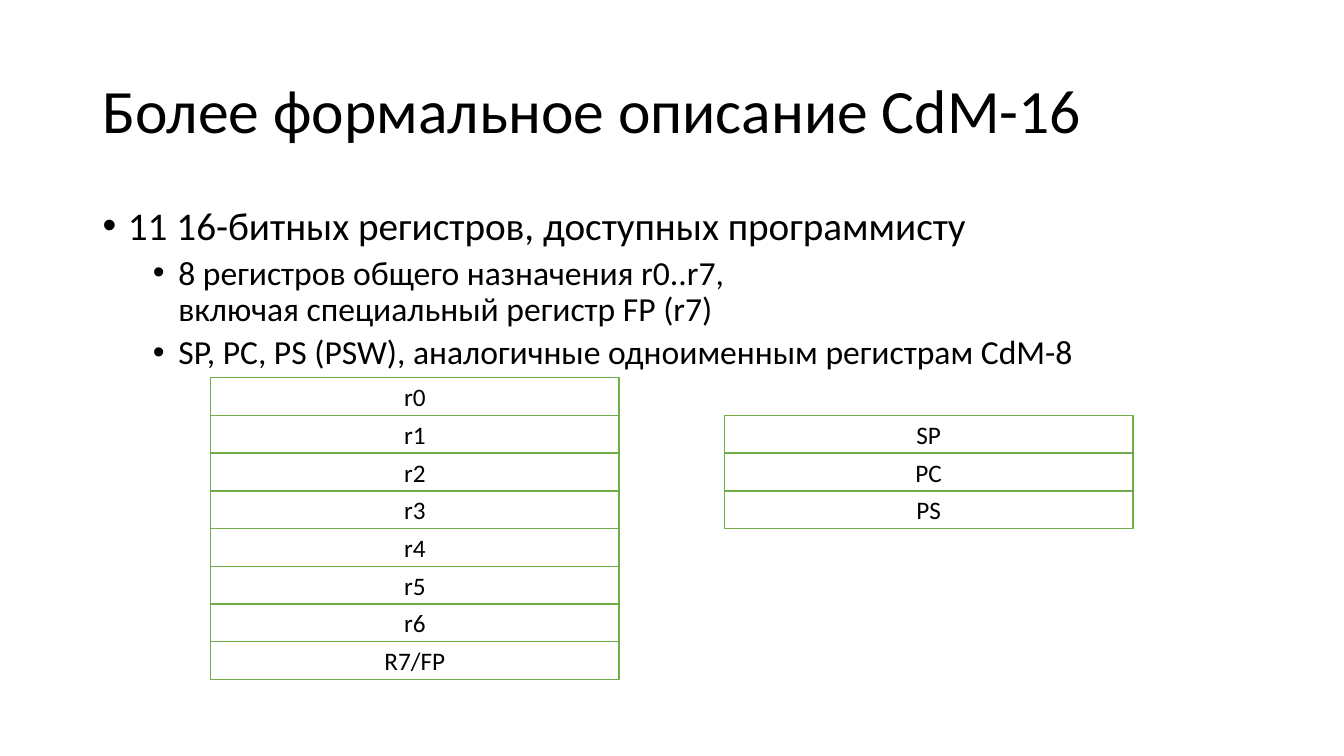
from dataclasses import dataclass

from lxml.etree import SubElement
from pptx import Presentation
from pptx.dml.color import RGBColor
from pptx.enum.shapes import MSO_SHAPE
from pptx.enum.text import MSO_ANCHOR, MSO_AUTO_SIZE, PP_ALIGN
from pptx.oxml.ns import qn
from pptx.util import Cm, Pt


@dataclass(frozen=True)
class Theme:
    font: str = "Calibri"
    ink: RGBColor = RGBColor(0x00, 0x00, 0x00)
    paper: RGBColor = RGBColor(0xFF, 0xFF, 0xFF)
    edge: RGBColor = RGBColor(0x70, 0xAD, 0x47)
    title: int = 44
    levels: tuple = (28, 24)
    register: int = 18


@dataclass(frozen=True)
class Box:
    left: float
    top: float
    width: float
    height: float


THEME = Theme()
ROW = 0.95
TITLE_BOX = Box(2.33, 1.01, 29.21, 3.68)
BODY_BOX = Box(2.33, 5.08, 29.21, 4.45)
GENERAL_BOX = Box(5.31, 9.52, 10.29, 8 * ROW)
SPECIAL_BOX = Box(18.26, 9.52 + ROW, 10.29, 3 * ROW)

TITLE = "Более формальное описание CdM-16"
POINTS = [
    (0, ["11 16-битных регистров, доступных программисту"]),
    (1, ["8 регистров общего назначения r0..r7,", "включая специальный регистр FP (r7)"]),
    (1, ["SP, PC, PS (PSW), аналогичные одноименным регистрам CdM-8"]),
]
GENERAL = [f"r{number}" for number in range(7)] + ["R7/FP"]
SPECIAL = ["SP", "PC", "PS"]


def place(shape, box):
    shape.left, shape.top = Cm(box.left), Cm(box.top)
    shape.width, shape.height = Cm(box.width), Cm(box.height)


def add_span(para, text, size):
    span = para.add_run()
    span.text = text
    span.font.name = THEME.font
    span.font.size = Pt(size)
    span.font.color.rgb = THEME.ink


def set_bullet(para, indent, hanging):
    properties = para._p.get_or_add_pPr()
    properties.set("marL", str(Cm(indent)))
    properties.set("indent", str(-Cm(hanging)))
    SubElement(properties, qn("a:buFont"), typeface="Arial")
    SubElement(properties, qn("a:buChar"), char="•")


def fill_title(page, box):
    title = page.shapes.title
    place(title, box)
    frame = title.text_frame
    frame.auto_size = MSO_AUTO_SIZE.NONE
    frame.vertical_anchor = MSO_ANCHOR.MIDDLE
    para = frame.paragraphs[0]
    para.alignment = PP_ALIGN.LEFT
    para.line_spacing = 0.9
    add_span(para, TITLE, THEME.title)


def fill_body(page, box):
    body = page.placeholders[1]
    place(body, box)
    frame = body.text_frame
    frame.auto_size = MSO_AUTO_SIZE.NONE
    for index, (level, lines) in enumerate(POINTS):
        para = frame.add_paragraph() if index else frame.paragraphs[0]
        para.level = level
        para.line_spacing = 0.9
        para.space_before = Pt(5 if level else 10)
        set_bullet(para, 0.64 + 1.27 * level, 0.64)
        for number, line in enumerate(lines):
            if number:
                para.add_line_break()
            add_span(para, line, THEME.levels[level])


def add_registers(page, box, names):
    height = box.height / len(names)
    for index, name in enumerate(names):
        cell = page.shapes.add_shape(
            MSO_SHAPE.RECTANGLE,
            Cm(box.left), Cm(box.top + index * height), Cm(box.width), Cm(height),
        )
        cell.shadow.inherit = False
        cell.fill.solid()
        cell.fill.fore_color.rgb = THEME.paper
        cell.line.color.rgb = THEME.edge
        cell.line.width = Pt(1)
        frame = cell.text_frame
        frame.vertical_anchor = MSO_ANCHOR.MIDDLE
        para = frame.paragraphs[0]
        para.alignment = PP_ALIGN.CENTER
        add_span(para, name, THEME.register)


def main():
    deck = Presentation()
    deck.slide_width, deck.slide_height = Cm(33.87), Cm(19.05)
    page = deck.slides.add_slide(deck.slide_layouts[1])
    fill_title(page, TITLE_BOX)
    fill_body(page, BODY_BOX)
    add_registers(page, GENERAL_BOX, GENERAL)
    add_registers(page, SPECIAL_BOX, SPECIAL)
    deck.save("out.pptx")


if __name__ == "__main__":
    main()
